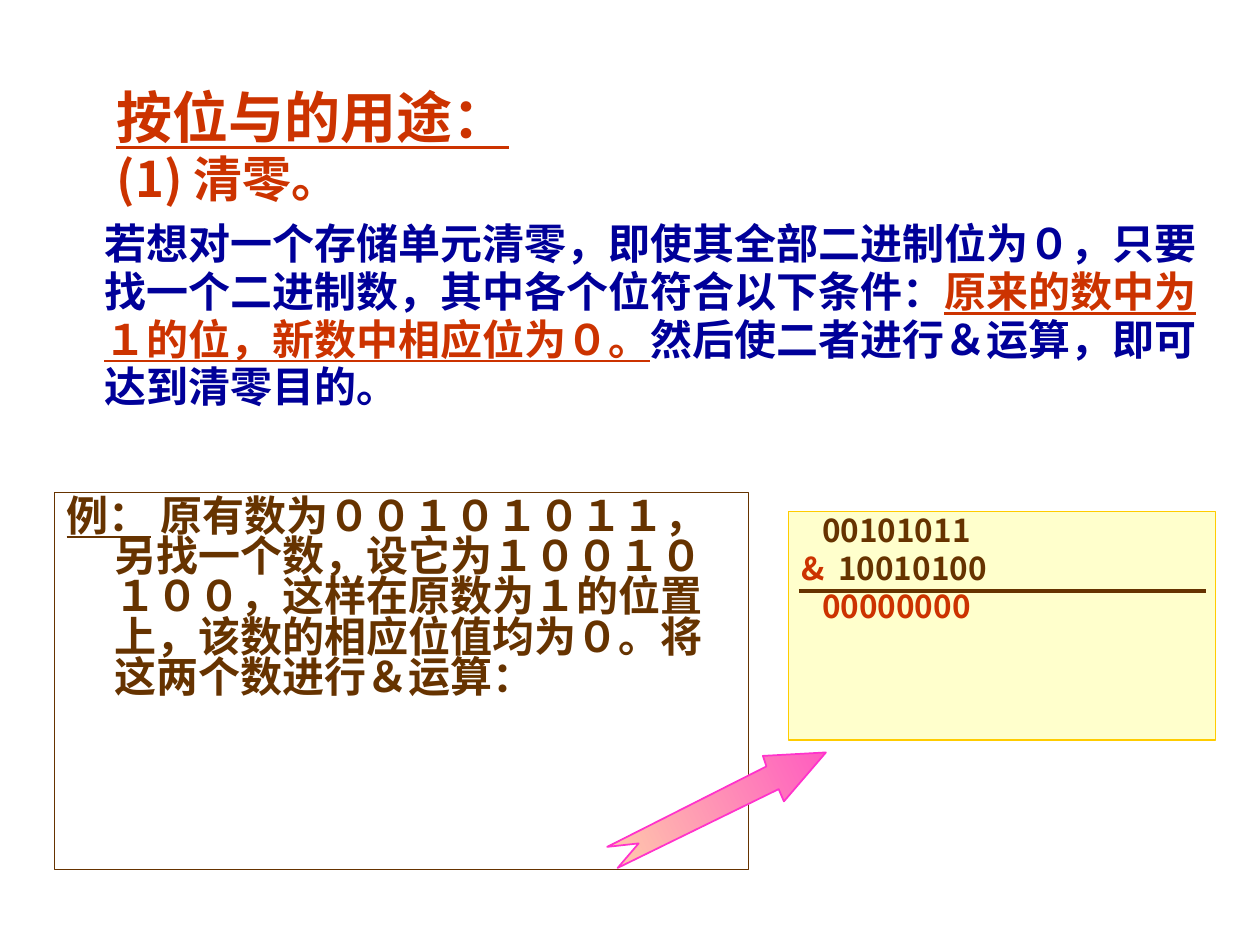
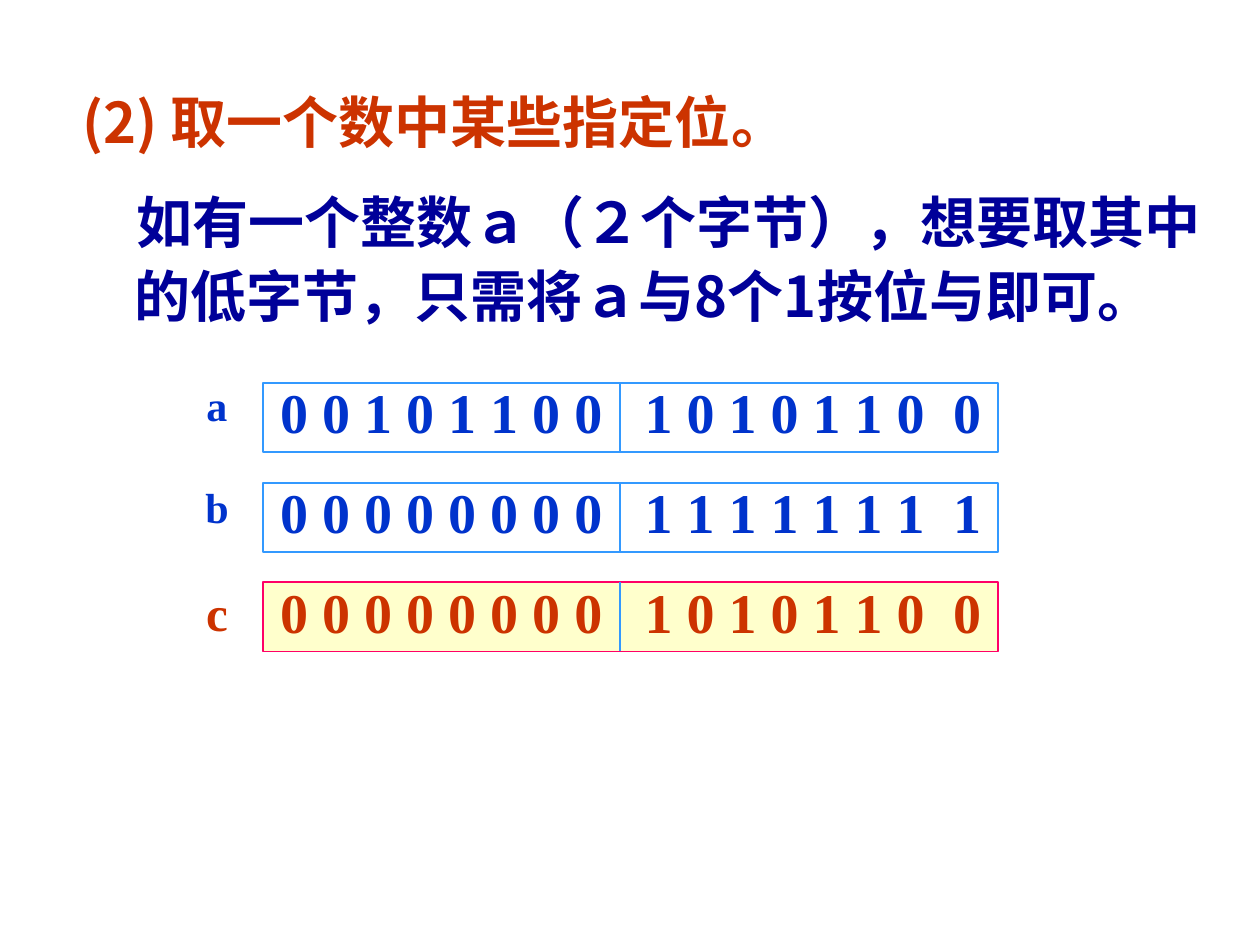
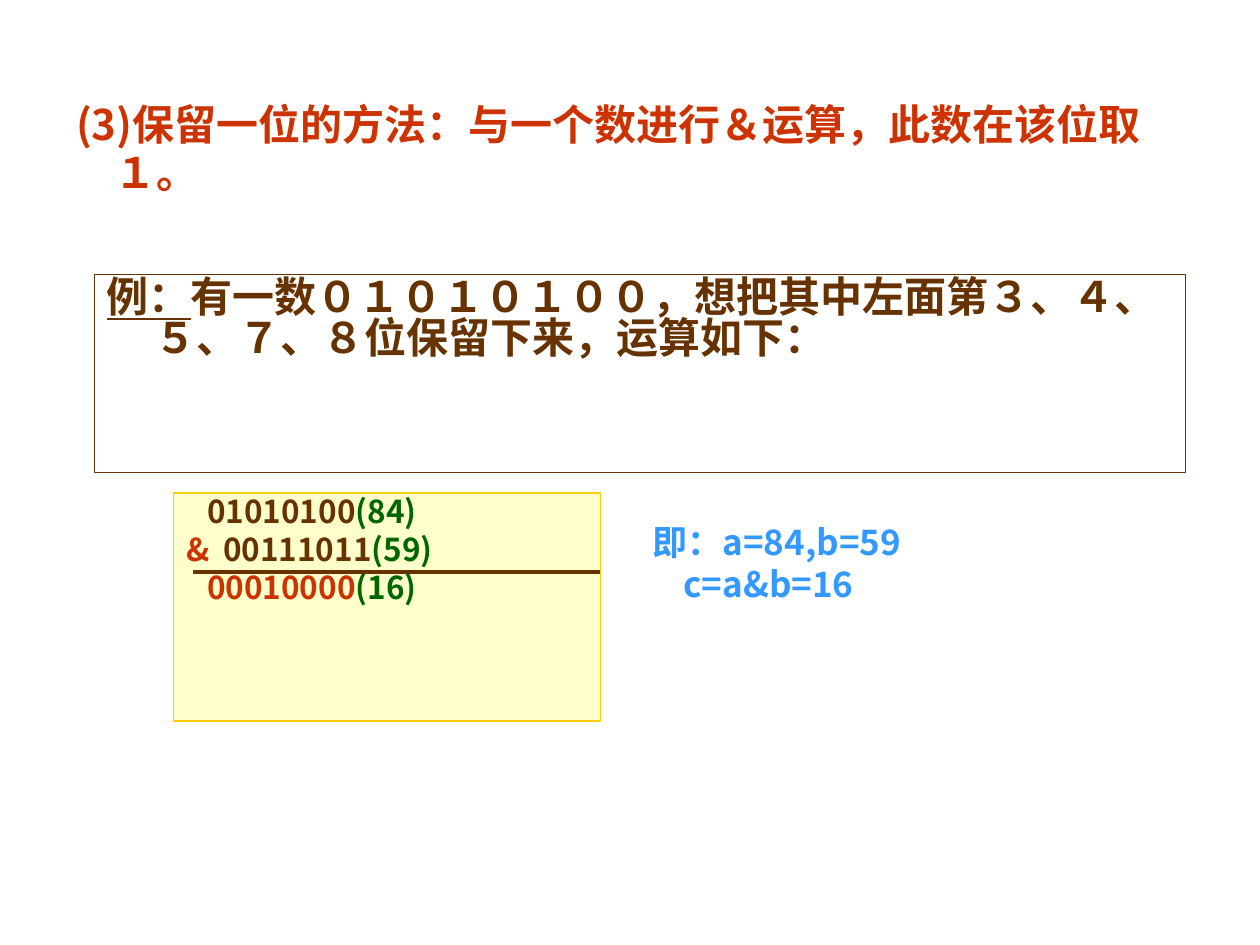
from pptx import Presentation
from pptx.dml.color import RGBColor
from pptx.enum.shapes import MSO_CONNECTOR as Connector, MSO_SHAPE as Shape
from pptx.enum.text import MSO_ANCHOR as Anchor, PP_ALIGN as Align
from pptx.oxml.ns import qn
from pptx.util import Pt
from lxml.etree import SubElement

color = RGBColor.from_string
RED, NAVY, BROWN, GREEN = "CC3300", "000099", "663300", "006600"
BLUE, SKY, CREAM, GOLD = "0033CC", "3399FF", "FFFFCC", "FFCC00"
CHINESE, SERIF = "Noto Sans CJK SC", "Times New Roman"
HANGING = 27.4


def add_text(slide, frame, paragraphs, size, spacing=1.0, before=0, font=CHINESE,
             align=Align.LEFT, anchor=Anchor.TOP, fill=None, line=None, line_width=0.75):
    shape = slide.shapes.add_shape(Shape.RECTANGLE, *map(Pt, frame))
    shape.shadow.inherit = False
    if fill:
        shape.fill.solid()
        shape.fill.fore_color.rgb = color(fill)
    else:
        shape.fill.background()
    if line:
        shape.line.color.rgb = color(line)
        shape.line.width = Pt(line_width)
    else:
        shape.line.fill.background()
    text_frame = shape.text_frame
    text_frame.word_wrap = True
    text_frame.vertical_anchor = anchor
    for index, (margin, indent, parts) in enumerate(paragraphs):
        paragraph = text_frame.add_paragraph() if index else text_frame.paragraphs[0]
        paragraph.alignment = align
        paragraph.line_spacing = spacing
        if index:
            paragraph.space_before = Pt(before)
        properties = paragraph._p.get_or_add_pPr()
        properties.set("marL", str(Pt(margin)))
        properties.set("indent", str(Pt(indent)))
        for text, text_color, underline in parts:
            run = paragraph.add_run()
            run.text = text
            run.font.name = font
            run.font.size = Pt(size)
            run.font.bold = True
            run.font.underline = underline
            run.font.color.rgb = color(text_color)
            SubElement(run._r.get_or_add_rPr(), qn("a:ea"), typeface=font)
    return shape


def add_line(slide, start, end, line_color, width):
    line = slide.shapes.add_connector(Connector.STRAIGHT, *map(Pt, start + end))
    line.line.color.rgb = color(line_color)
    line.line.width = Pt(width)
    SubElement(line._element.spPr, qn("a:effectLst"))


presentation = Presentation()
presentation.slide_width = Pt(720)
presentation.slide_height = Pt(540)
clear_slide, extract_slide, keep_slide = [
    presentation.slides.add_slide(presentation.slide_layouts[6]) for _ in range(3)]

add_text(clear_slide, (42.5, 37.4, 272.2, 58.3),
         [(0, 0, [("按位与的用途：", RED, True)])],
         32, align=Align.CENTER, anchor=Anchor.MIDDLE)
add_text(clear_slide, (25.2, 122.8, 680.4, 136),
         [(HANGING, 0, [
             ("若想对一个存储单元清零，即使其全部二进制位为０，只要找一个二进制数，其中各个位符合以下条件：", NAVY, False),
             ("原来的数中为１的位，新数中相应位为０。", RED, True),
             ("然后使二者进行＆运算，即可达到清零目的。", NAVY, False)])],
         24, 0.95)

headings = [
    (clear_slide, (59.6, 83.6, 195.8, 51), 28, 0, 7.2, "(1) 清零。"),
    (extract_slide, (31, 49, 635, 51), 32, 9.1, 7.2, "(2) 取一个数中某些指定位。"),
    (keep_slide, (31, 54.7, 674.6, 85), 24, 5.4, 37,
     "(3)保留一位的方法：与一个数进行＆运算，此数在该位取１。"),
]
for slide, frame, size, offset, right_margin, text in headings:
    heading = add_text(slide, frame, [(HANGING, offset - HANGING, [(text, RED, False)])],
                       size, 0.95)
    heading.text_frame.margin_right = Pt(right_margin)

examples = [
    (clear_slide, (31, 281.5, 396.7, 215.3),
     " 原有数为００１０１０１１，另找一个数，设它为１００１０１００，这样在原数为１的位置上，该数的相应位值均为０。将这两个数进行＆运算："),
    (keep_slide, (54, 156.8, 623.5, 113.2),
     "有一数０１０１０１００，想把其中左面第３、４、５、７、８位保留下来，运算如下："),
]
for slide, frame, text in examples:
    add_text(slide, frame,
             [(HANGING, -HANGING, [("例：", BROWN, True), (text, BROWN, False)])],
             24, 0.8, line=BROWN)

calculations = [
    (clear_slide, 450.7, 292.5, 456.5, 689,
     [("00101011", ""), ("10010100", ""), ("00000000", "")]),
    (keep_slide, 99.2, 281.7, 110.2, 342.9,
     [("01010100", "(84)"), ("00111011", "(59)"), ("00010000", "(16)")]),
]
for slide, left, top, rule_start, rule_end, numbers in calculations:
    rows = []
    for (bits, decimal), bits_color in zip(numbers, (BROWN, BROWN, RED)):
        parts = [(bits, bits_color, False)]
        if decimal:
            parts.append((decimal, GREEN, False))
        rows.append((12, 0, parts))
    rows[1] = (21.2, -21.2, [("&\t", RED, False)] + rows[1][2])
    add_text(slide, (left, top, 244.1, 130.4), rows, 18, 0.8, 4.5, fill=CREAM, line=GOLD)
    add_line(slide, (rule_start, top + 45.2), (rule_end, top + 45.2), BROWN, 2.25)

arrow_points = [(347, 483.8), (438.5, 438.5), (435.6, 432), (472.3, 429.8), (447.8, 457.9),
                (445, 451.4), (352.8, 496.1), (365, 482.4)]
builder = clear_slide.shapes.build_freeform(*arrow_points[0], scale=Pt(1))
builder.add_line_segments(arrow_points[1:], close=True)
arrow = builder.convert_to_shape()
arrow.shadow.inherit = False
arrow.fill.gradient()
arrow.fill.gradient_angle = 206
for stop, stop_color in zip(arrow.fill.gradient_stops, ("FF5CC0", "FFCCAA")):
    stop.color.rgb = color(stop_color)
arrow.line.color.rgb = color("FF33CC")
arrow.line.width = Pt(1)

add_text(extract_slide, (42.5, 100, 658, 113),
         [(0, 21.5, [("如有一个整数ａ（２个字节），想要取其中的低字节，只需将ａ与8个1按位与即可。 ", NAVY, False)])],
         32, 1.1, align=Align.CENTER)
registers = [
    (("0 0 1 0 1 1 0 0", "1 0 1 0 1 1 0", "0"), BLUE, None, SKY),
    (("0 0 0 0 0 0 0 0", "1 1 1 1 1 1 1", "1"), BLUE, None, SKY),
    (("0 0 0 0 0 0 0 0", "1 0 1 0 1 1 0", "0"), RED, CREAM, "FF0066"),
]
for index, ((high, low, last), bits_color, fill, border) in enumerate(registers):
    top = 218.9 + index * 56.9
    parts = [(text, bits_color, False) for text in (high, " ", low, " ", last)]
    register = add_text(extract_slide, (150.5, top, 419.8, 39.6), [(0, 0, parts)],
                        32, 0.8, font=SERIF, align=Align.CENTER, anchor=Anchor.MIDDLE,
                        fill=fill, line=border, line_width=1)
    runs = register.text_frame.paragraphs[0].runs
    for gap, extra_width in ((runs[1], 16), (runs[3], 8)):
        gap._r.get_or_add_rPr().set("spc", str(extra_width * 100))
    add_line(extract_slide, (354.2, top), (354.2, top + 39.6), SKY, 1)

labels = add_text(extract_slide, (110.2, 218.9, 27.4, 151.2),
                  [(0, 0, [(name, name_color, False)])
                   for name, name_color in (("a", BLUE), ("b", BLUE), ("c", RED))],
                  24, 0.8, 35.4, SERIF, Align.CENTER)
labels.text_frame.paragraphs[2].runs[0].font.size = Pt(28)

add_text(keep_slide, (365.6, 298.4, 266.4, 96.5),
         [(HANGING, -HANGING, [("即：a=84,b=59", SKY, False)]),
          (17.8, 0, [("c=a&b=16", SKY, False)])],
         20, 0.8, 5)

presentation.save("out.pptx")
